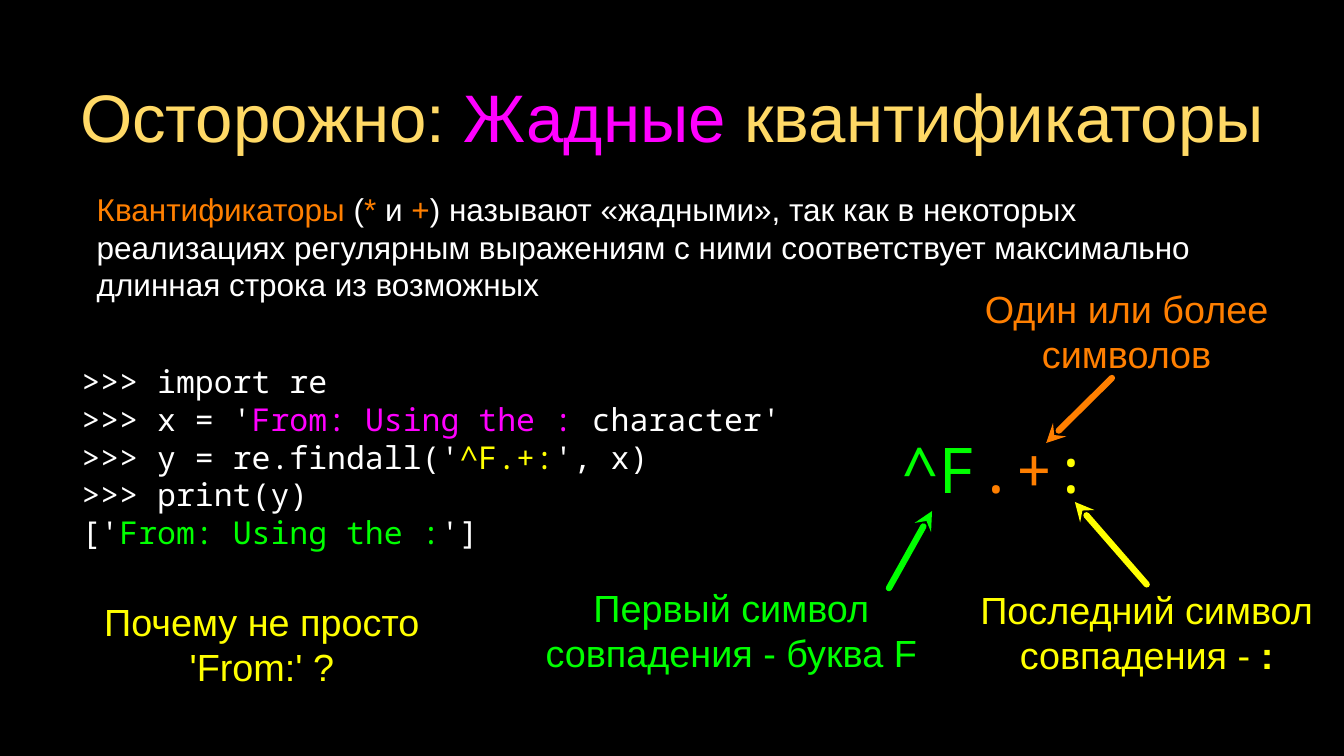
from lxml.etree import SubElement
from pptx import Presentation
from pptx.dml.color import RGBColor
from pptx.enum.shapes import MSO_CONNECTOR as Connector
from pptx.enum.text import MSO_ANCHOR as Anchor, PP_ALIGN as Align
from pptx.oxml.ns import qn
from pptx.util import Emu, Pt

PX = 9144
SANS, MONO = "Arial", "Noto Sans Mono"
BLACK, WHITE, GOLD = "000000", "FFFFFF", "FFD966"
MAGENTA, ORANGE, GREEN, YELLOW = "FF00FF", "FF7F00", "00FF00", "FFFF00"


def px(length):
    return Emu(length * PX)


def color(value):
    return RGBColor.from_string(value)


def set_all(target, values):
    for name, value in values.items():
        setattr(target, name, value)


class RegexSlide:
    """Holds the text style and the current slide, and draws its elements."""

    leading = 1.2
    line_width = 6

    def __init__(self, deck, background):
        self.page = deck.slides.add_slide(deck.slide_layouts[6])
        fill = self.page.background.fill
        fill.solid()
        fill.fore_color.rgb = color(background)

    def text(self, place, paragraphs, size, font=SANS, align=Align.LEFT,
             anchor=Anchor.MIDDLE, inset=0, indent=0):
        box = self.page.shapes.add_textbox(*map(px, place))
        frame = box.text_frame
        margins = {f"margin_{side}": px(inset) for side in ("left", "right", "top", "bottom")}
        set_all(frame, {"word_wrap": True, "vertical_anchor": anchor, **margins})
        frame.margin_left = px(inset + indent)
        for index, pieces in enumerate(paragraphs):
            para = frame.add_paragraph() if index else frame.paragraphs[0]
            set_all(para, {"alignment": align, "line_spacing": Pt(size * self.leading)})
            for words, tint, *bold in pieces:
                span = para.add_run()
                span.text = words
                set_all(span.font, {"name": font, "size": Pt(size), "bold": bool(bold)})
                span.font.color.rgb = color(tint)

    def label(self, place, *pieces):
        self.text(place, [pieces], 36, align=Align.CENTER)

    def arrow(self, tip, tail, tint):
        line = self.page.shapes.add_connector(Connector.STRAIGHT, *map(px, tip + tail))
        line.line.width = Pt(self.line_width)
        line.line.color.rgb = color(tint)
        properties = line.element.spPr
        outline = properties.find(qn("a:ln"))
        outline.set("cap", "rnd")
        SubElement(outline, qn("a:round"))
        SubElement(outline, qn("a:headEnd"), type="stealth")
        SubElement(properties, qn("a:effectLst"))


def main():
    deck = Presentation()
    set_all(deck, {"slide_width": px(1778), "slide_height": px(1000)})
    slide = RegexSlide(deck, BLACK)

    title = [("Осторожно: ", GOLD), ("Жадные ", MAGENTA), ("квантификаторы", GOLD)]
    slide.text((80, 58, 1618, 189), [title], 64, align=Align.CENTER, inset=4)

    explanation = [
        ("Квантификаторы", ORANGE), (" (", WHITE), ("* ", ORANGE), ("и ", WHITE), ("+", ORANGE),
        (") называют «жадными», так как в некоторых реализациях регулярным выражениям "
         "с ними соответствует максимально длинная строка из возможных", WHITE),
    ]
    slide.text((83, 247, 1524, 177), [explanation], 30, anchor=Anchor.TOP, inset=4, indent=41)

    code = [
        [(">>> import re", WHITE)],
        [(">>> x = '", WHITE), ("From: Using the :", MAGENTA), (" character'", WHITE)],
        [(">>> y = re.findall('", WHITE), ("^F.+:", YELLOW), ("', x)", WHITE)],
        [(">>> print(y)", WHITE)],
        [("['", WHITE), ("From: Using the :", GREEN), ("']", WHITE)],
    ]
    slide.text((108, 456, 1097, 296), code, 30, MONO)

    pattern = [("^F", GREEN), (".+", ORANGE), (":", YELLOW)]
    slide.text((1193, 564, 283, 112), [pattern], 60, MONO)

    slide.label((1286, 375, 409, 125), ("Один или более символов", ORANGE))
    slide.arrow((1384, 586), (1471, 500), ORANGE)
    slide.label((682, 771, 571, 125), ("Первый символ совпадения - буква F", GREEN))
    slide.arrow((1233, 676), (1176, 778), GREEN)
    slide.label((1289, 773, 456, 125),
                ("Последний символ совпадения - ", YELLOW), (":", YELLOW, True))
    slide.arrow((1422, 664), (1517, 773), YELLOW)
    slide.label((126, 805, 441, 93), ("Почему не просто 'From:' ?", YELLOW))

    deck.save("out.pptx")


if __name__ == "__main__":
    main()
